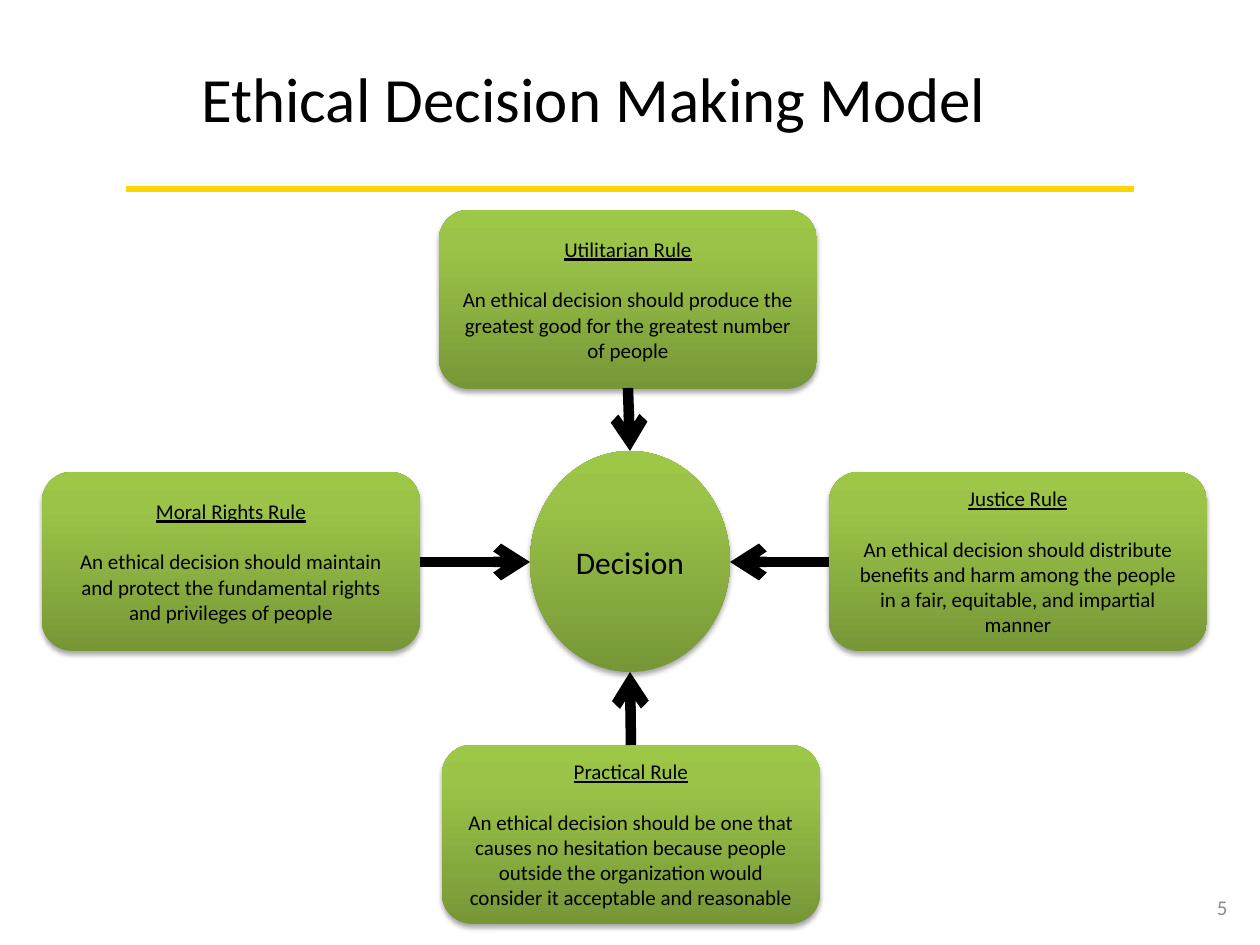
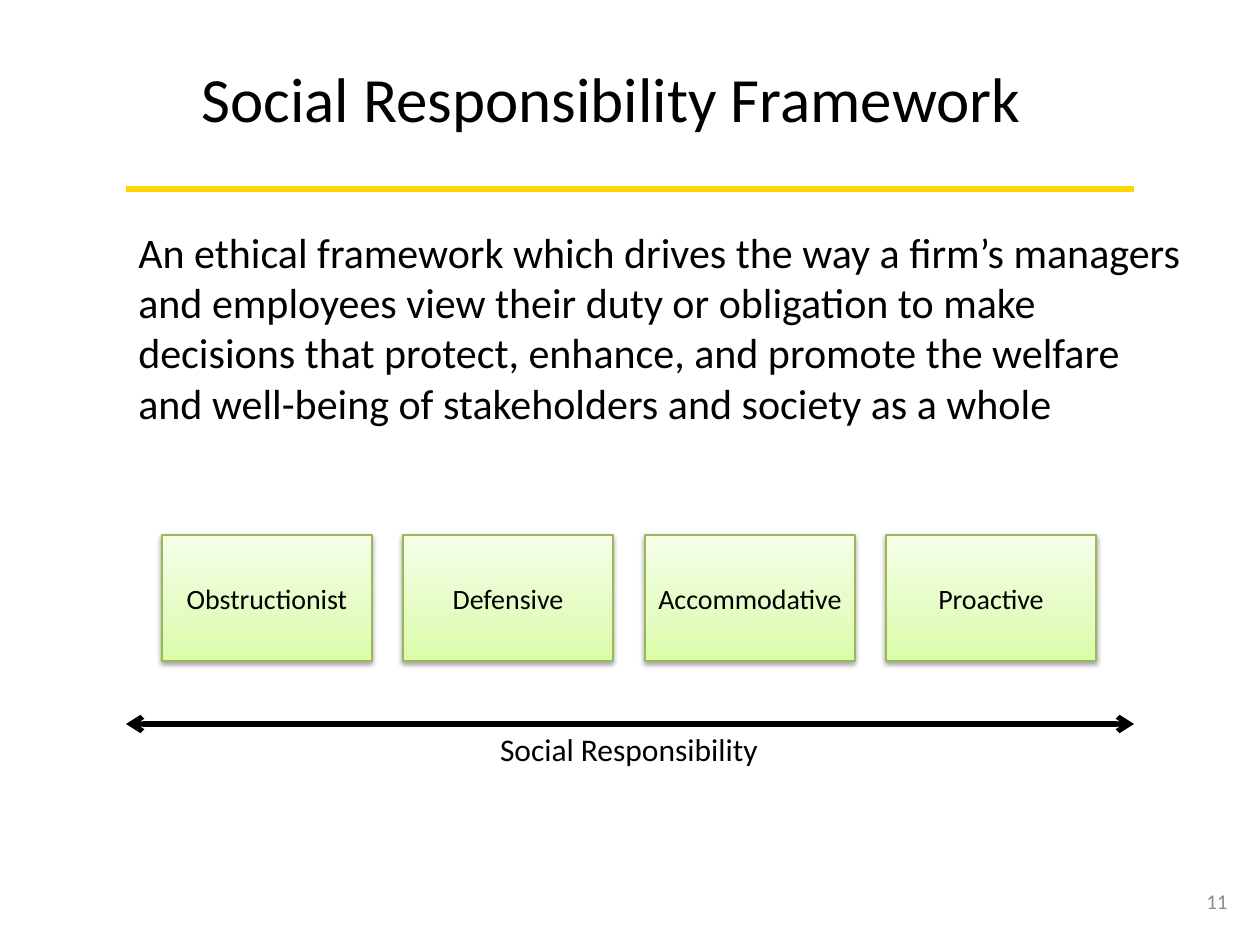
import dataclasses
import typing

import lxml.etree
import pptx
import pptx.dml.color
import pptx.enum.shapes
import pptx.enum.text
import pptx.oxml.ns
import pptx.util

SCALE = 914400 / 126
FONT = "Calibri"
BLACK = "000000"
GOLD = "FFD700"
GREY = "8C8C8C"
OLIVE = "98B955"
ALIGN = pptx.enum.text.PP_ALIGN
ANCHOR = pptx.enum.text.MSO_ANCHOR
FIT = pptx.enum.text.MSO_AUTO_SIZE.SHAPE_TO_FIT_TEXT
KIND = pptx.enum.shapes.MSO_SHAPE
Point = tuple[int, int]
Area = tuple[int, int, int, int]


@dataclasses.dataclass(frozen=True)
class Look:
    stops: tuple[tuple[int, str], ...]
    shadow_alpha: int
    shadow_distance: float
    outline: typing.Optional[str] = None


@dataclasses.dataclass(frozen=True)
class Text:
    words: str
    size: int
    color: str = BLACK
    align: ALIGN = ALIGN.CENTER
    underline: bool = False
    space_before: float = 0


@dataclasses.dataclass(frozen=True)
class Rule:
    left: int
    top: int
    name: str
    statement: str


@dataclasses.dataclass(frozen=True)
class Arrow:
    start: Point
    end: Point
    width: int
    color: str = BLACK
    ends: tuple[str, ...] = ("tailEnd",)


DEEP_GREEN = Look(((0, "779737"), (80, "9BC348"), (100, "9DC746")), 35, 1.8)
PALE_GREEN = Look(((0, "DAFDA7"), (35, "E4FCC2"), (100, "F5FFE7")), 38, 1.6, OLIVE)
DIVIDER = Arrow((126, 189), (1134, 189), 4, GOLD, ())

RULES = [
    Rule(439, 210, "Utilitarian Rule",
         "An ethical decision should produce the greatest good for the greatest number of people"),
    Rule(42, 472, "Moral Rights Rule",
         "An ethical decision should maintain and protect the fundamental rights and privileges of people"),
    Rule(829, 472, "Justice Rule",
         "An ethical decision should distribute benefits and harm among the people in a fair, "
         "equitable, and impartial manner"),
    Rule(442, 745, "Practical Rule",
         "An ethical decision should be one that causes no hesitation because people outside the "
         "organization would consider it acceptable and reasonable"),
]
RULE_ARROWS = [
    Arrow((420, 562), (530, 562), 6),
    Arrow((829, 562), (730, 562), 6),
    Arrow((628, 388), (630, 451), 6),
    Arrow((631, 745), (630, 672), 6),
]
STANCES = ["Obstructionist", "Defensive", "Accommodative", "Proactive"]


def emu(pixels: float) -> pptx.util.Emu:
    return pptx.util.Emu(round(pixels * SCALE))


def color_of(code: str) -> pptx.dml.color.RGBColor:
    return pptx.dml.color.RGBColor.from_string(code)


def add_element(parent, tag: str, **attributes):
    values = {name: str(value) for name, value in attributes.items()}
    return lxml.etree.SubElement(parent, pptx.oxml.ns.qn("a:" + tag), values)


def apply(target, formats: dict) -> None:
    for name, value in formats.items():
        setattr(target, name, value)


def write(box, texts: list[Text], **frame_formats) -> None:
    frame = box.text_frame
    apply(frame, {"word_wrap": True} | frame_formats)
    for index, text in enumerate(texts):
        para = frame.add_paragraph() if index else frame.paragraphs[0]
        apply(para, {"alignment": text.align, "space_before": pptx.util.Pt(text.space_before)})
        span = para.add_run()
        span.text = text.words
        apply(span.font, {"name": FONT, "size": pptx.util.Pt(text.size), "underline": text.underline})
        span.font.color.rgb = color_of(text.color)


def add_text(page, area: Area, text: Text, **frame_formats) -> None:
    box = page.shapes.add_textbox(*map(emu, area))
    write(box, [text], **frame_formats)


def add_block(page, kind: KIND, area: Area, look: Look, texts: list[Text]) -> None:
    box = page.shapes.add_shape(kind, *map(emu, area))
    properties = box.element.spPr
    gradient = add_element(properties, "gradFill", rotWithShape=1)
    stops = add_element(gradient, "gsLst")
    for position, code in look.stops:
        add_element(add_element(stops, "gs", pos=position * 1000), "srgbClr", val=code)
    add_element(gradient, "lin", ang=16200000, scaled=0)
    if look.outline:
        box.line.color.rgb = color_of(look.outline)
        box.line.width = pptx.util.Pt(0.75)
    else:
        box.line.fill.background()
    box.shadow.inherit = False
    effects = properties.find(pptx.oxml.ns.qn("a:effectLst"))
    shadow = add_element(effects, "outerShdw", blurRad=pptx.util.Pt(3.1),
                         dist=pptx.util.Pt(look.shadow_distance), dir=5400000, rotWithShape=0)
    shade = add_element(shadow, "srgbClr", val=BLACK)
    add_element(shade, "alpha", val=look.shadow_alpha * 1000)
    write(box, texts, vertical_anchor=ANCHOR.MIDDLE)


def add_arrow(page, arrow: Arrow) -> None:
    connector = page.shapes.add_connector(
        pptx.enum.shapes.MSO_CONNECTOR.STRAIGHT, *map(emu, arrow.start + arrow.end))
    connector.line.color.rgb = color_of(arrow.color)
    connector.line.width = pptx.util.Pt(arrow.width)
    for end in arrow.ends:
        add_element(connector.line._get_or_add_ln(), end, type="arrow")
    add_element(connector.element.spPr, "effectLst")


def add_page(deck, title: str, title_width: int, number: int, number_top: int):
    page = deck.slides.add_slide(deck.slide_layouts[6])
    add_arrow(page, DIVIDER)
    add_text(page, (1187, number_top, 53, 50), Text(str(number), 12, GREY, ALIGN.RIGHT),
             vertical_anchor=ANCHOR.MIDDLE)
    add_text(page, (189, 53, title_width, 89), Text(title, 36, align=ALIGN.LEFT),
             word_wrap=False, auto_size=FIT)
    return page


def build_decision_model(deck) -> None:
    page = add_page(deck, "Ethical Decision Making Model", 818, 5, 882)
    for rule in RULES:
        add_block(page, KIND.ROUNDED_RECTANGLE, (rule.left, rule.top, 378, 179), DEEP_GREEN,
                  [Text(rule.name, 12, underline=True),
                   Text(rule.statement, 12, space_before=14.6)])
    add_block(page, KIND.OVAL, (530, 451, 200, 221), DEEP_GREEN, [Text("Decision", 18)])
    for arrow in RULE_ARROWS:
        add_arrow(page, arrow)


def build_responsibility_framework(deck) -> None:
    page = add_page(deck, "Social Responsibility Framework", 852, 11, 876)
    add_text(page, (126, 220, 1071, 217), Text(
        "An ethical framework which drives the way a firm’s managers and employees view their "
        "duty or obligation to make decisions that protect, enhance, and promote the welfare and "
        "well-being of stakeholders and society as a whole", 24, align=ALIGN.LEFT), auto_size=FIT)
    for index, stance in enumerate(STANCES):
        add_block(page, KIND.RECTANGLE, (162 + 483 * index // 2, 535, 210, 126), PALE_GREEN,
                  [Text(stance, 16)])
    add_arrow(page, Arrow((126, 724), (1134, 724), 3, ends=("headEnd", "tailEnd")))
    add_text(page, (486, 724, 286, 50), Text("Social Responsibility", 18),
             word_wrap=False, auto_size=FIT)


def main() -> None:
    deck = pptx.Presentation()
    apply(deck, {"slide_width": emu(1260), "slide_height": emu(945)})
    build_decision_model(deck)
    build_responsibility_framework(deck)
    deck.save("out.pptx")


main()
